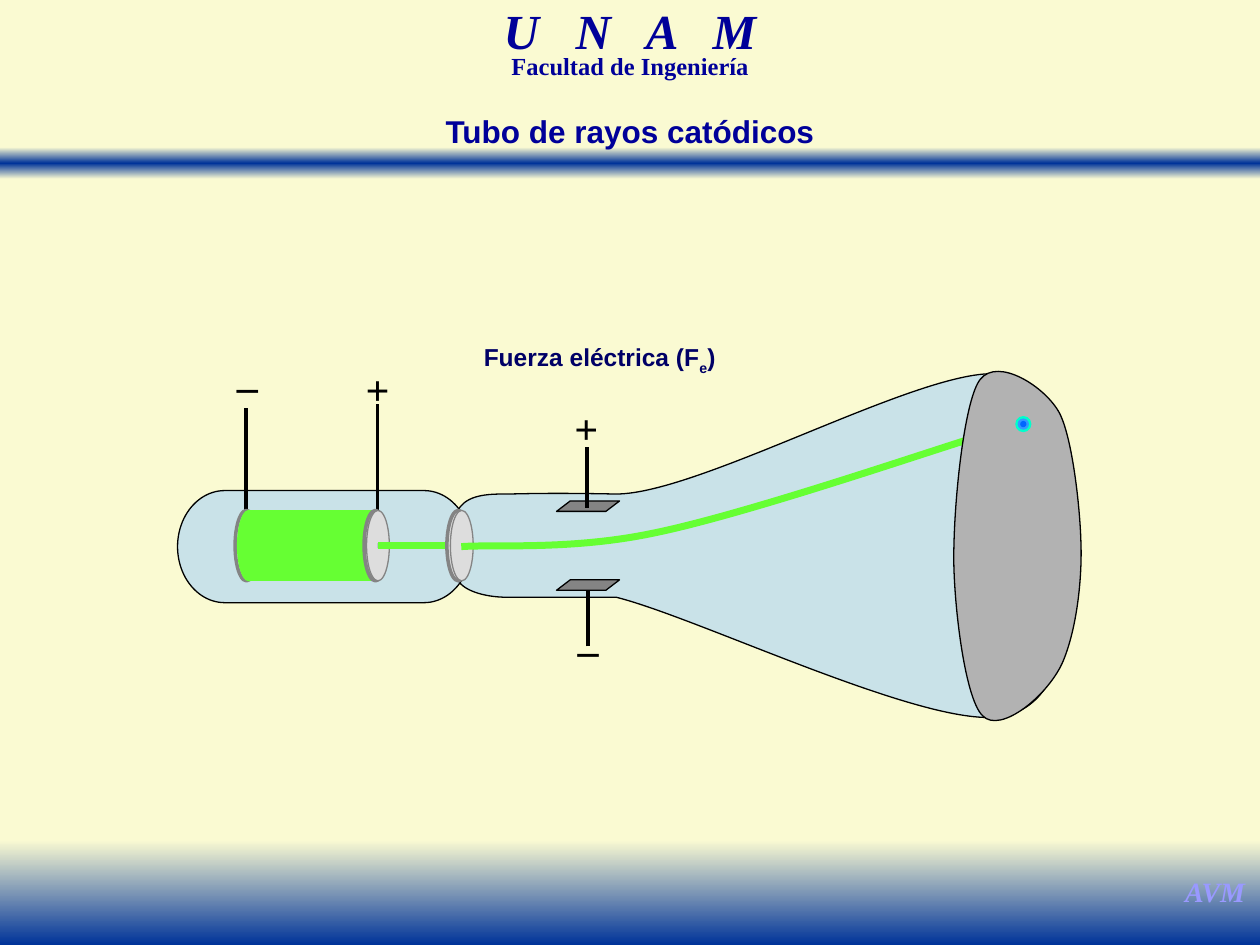
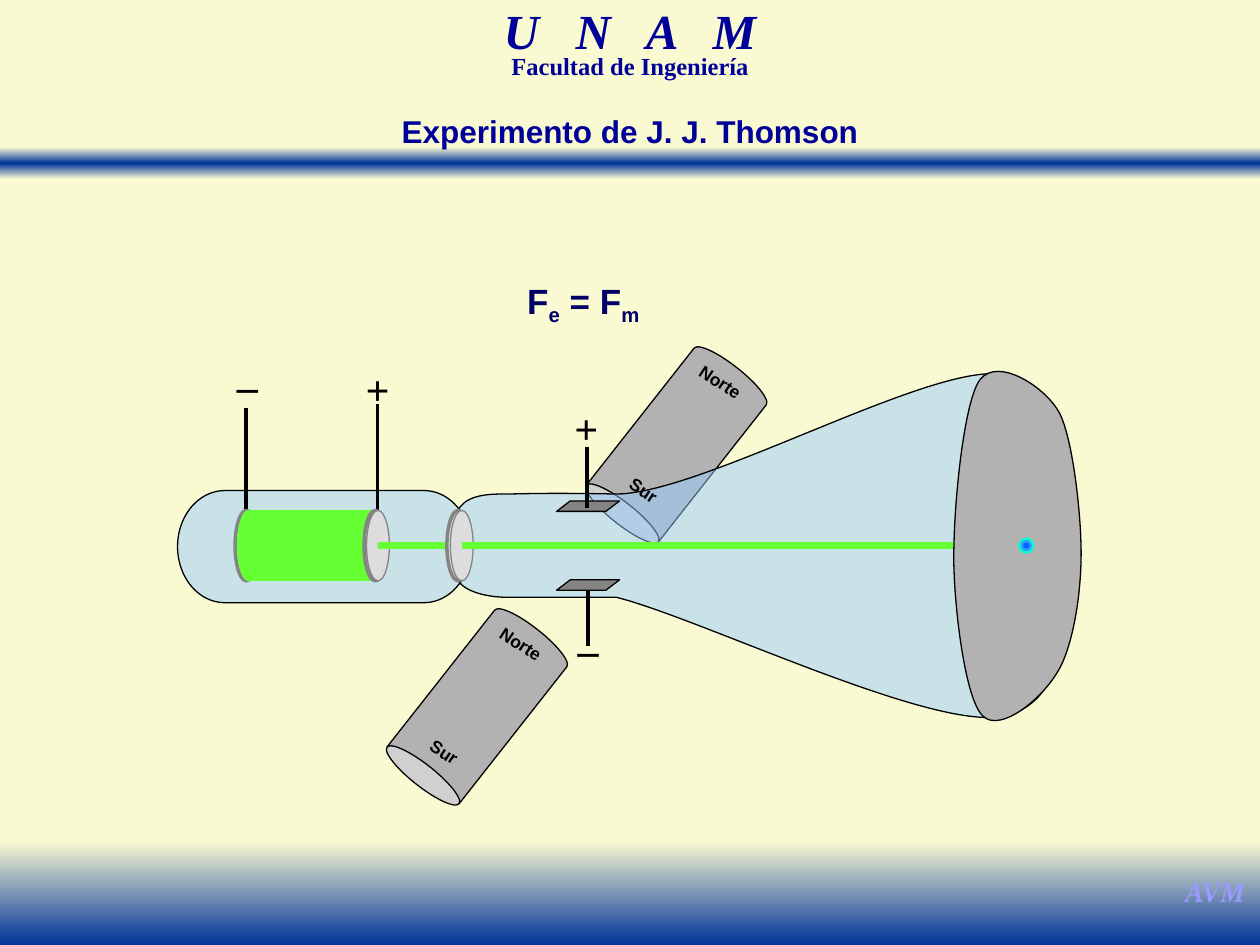
import copy
from dataclasses import dataclass

import pptx
import pptx.dml.color
import pptx.enum.shapes
import pptx.enum.text
import pptx.oxml.ns
import pptx.util
from lxml import etree

Cm, Pt = pptx.util.Cm, pptx.util.Pt
Kind = pptx.enum.shapes.MSO_SHAPE
qn = pptx.oxml.ns.qn


@dataclass(frozen=True)
class Theme:
    paper: str = "FAFAD2"
    band: str = "003399"
    title: str = "000099"
    force: str = "000066"
    mark: str = "9999FF"
    ink: str = "000000"
    glass: str = "99CCFF"
    beam: str = "66FF33"
    disc: str = "DDDDDD"
    metal: str = "848484"
    iron: str = "B2B2B2"
    sans: str = "Arial"
    serif: str = "Times New Roman"
    hair: float = 0.5
    thin: float = 0.75
    wire: float = 2
    ray: float = 4
    school: int = 28
    sign: int = 24
    head: int = 18
    author: int = 16
    small: int = 14
    pole: int = 10


T = Theme()

# Content: lengths in cm; text runs are (text, subscript)
SLIDES = [
    dict(title="Tubo de rayos catódicos",
         force=[("Fuerza eléctrica (F", False), ("e", True), (")", False)],
         box=(9.5, 6.78, 5.18, 0.84), size=14, spot=(20.63, 8.55), magnets=[],
         beam=[(9.3, 11.02),
               (9.96, 10.97), (11.53, 11.1), (13.21, 10.74),
               (14.91, 10.39), (18.14, 9.3), (19.43, 8.89)]),
    dict(title="Experimento de J. J. Thomson",
         force=[("F", False), ("e", True), (" = F", False), ("m", True)],
         box=(10.34, 5.5, 2.84, 1.09), size=20, spot=(20.69, 11),
         magnets=[(12.71, 6.99), (8.69, 12.27)],
         beam=[(9.31, 11), (19.25, 11)]),
]

# Outlines: a start point, then three points for each Bézier curve
CONE = [(9.22, 10.31),
        (9.37, 10.01), (9.73, 9.96), (10.13, 9.96),
        (10.52, 9.96), (10.92, 9.93), (12.42, 9.96),
        (14.12, 9.96), (18.62, 7.39), (20.14, 7.54),
        (21.67, 7.67), (21.56, 9.65), (21.56, 10.8),
        (21.56, 11.96), (21.67, 14.25), (20.14, 14.45),
        (18.62, 14.66), (14.07, 12.45), (12.42, 12.04),
        (10.97, 12.04), (10.46, 12.04), (10.19, 12.04),
        (9.91, 12.04), (9.37, 11.96), (9.22, 11.68)]
SCREEN = [(19.23, 11.05),
          (19.25, 9.88), (19.46, 8.03), (19.76, 7.65),
          (20.12, 7.19), (21.08, 7.8), (21.36, 8.33),
          (21.62, 8.84), (21.77, 10.21), (21.79, 10.9),
          (21.82, 11.61), (21.72, 12.62), (21.44, 13.31),
          (21.16, 14), (20.17, 14.81), (19.81, 14.43),
          (19.43, 14.07), (19.2, 11.96), (19.23, 11.05)]
SIGNS = [("+", 7.12, 7.21), ("_", 4.5, 6.85), ("+", 11.33, 7.98), ("_", 11.37, 12.17)]
RINGS = [(7.34, 7.39, 7.62), (9.01, 9.08, 9.32)]  # back, front, slot
DISC = (10.29, 0.46, 1.42)  # top, width, height
SPOT = [("00FFCC", 0.3), ("3399FF", 0.2), ("0066FF", 0.1)]
MAGNET = (1.85, 3.96)
POLES = [("Norte", 1.1, 0.37, 1.42), ("Sur", -0.28, 2.55, 1.09)]
TURN, TILT = 218.2, 33.2


# Drawing helpers
def rgb(code):
    return pptx.dml.color.RGBColor.from_string(code)


def paint(shape, fill, line, width=T.thin, alpha=None):
    shape.shadow.inherit = False
    if fill:
        shape.fill.solid()
        shape.fill.fore_color.rgb = rgb(fill)
    else:
        shape.fill.background()
    if alpha:
        tint = shape.element.spPr.find(".//" + qn("a:srgbClr"))
        etree.SubElement(tint, qn("a:alpha")).set("val", str(alpha * 1000))
    shape.line.color.rgb = rgb(line)
    shape.line.width = Pt(width)
    return shape


def add(slide, kind, box, fill, line, width=T.thin, alpha=None):
    shape = slide.shapes.add_shape(kind, *map(Cm, box))
    return paint(shape, fill, line, width, alpha)


def wire(slide, start, end, color=T.ink, width=T.wire):
    line = slide.shapes.add_connector(
        pptx.enum.shapes.MSO_CONNECTOR.STRAIGHT, *map(Cm, start + end))
    line.line.color.rgb = rgb(color)
    line.line.width = Pt(width)
    etree.SubElement(line.element.spPr, qn("a:effectLst"))


def curve(slide, knots, fill, line, width=T.thin, alpha=None):
    pen = slide.shapes.build_freeform(*map(Cm, knots[0]))
    pen.add_line_segments([tuple(map(Cm, k)) for k in knots[1:]], close=bool(fill))
    shape = pen.convert_to_shape()
    # Each three line points become one Bézier segment
    legs = shape.element.spPr.findall(".//" + qn("a:lnTo"))
    for i in range(0, len(legs), 3):
        bend = etree.Element(qn("a:cubicBezTo"))
        legs[i].addprevious(bend)
        for leg in legs[i:i + 3]:
            bend.append(leg[0])
            leg.getparent().remove(leg)
    paint(shape, fill, line, width, alpha)


def style(part, size, color, face=T.sans, italic=False):
    part.alignment = pptx.enum.text.PP_ALIGN.CENTER
    font = part.font
    font.name, font.size, font.bold, font.italic = face, Pt(size), True, italic
    font.color.rgb = rgb(color)


def label(slide, box, runs, size, color, face=T.sans, italic=False, wrap=False):
    shape = slide.shapes.add_textbox(*map(Cm, box))
    shape.text_frame.word_wrap = wrap
    part = shape.text_frame.paragraphs[0]
    for text, sub in runs:
        run = part.add_run()
        run.text = text
        if sub:
            run.font._element.set("baseline", "-25000")
    style(part, size, color, face, italic)
    return shape


def blend(slide, box, stops):
    shape = slide.shapes.add_shape(Kind.RECTANGLE, *map(Cm, box))
    shape.shadow.inherit = False
    shape.line.fill.background()
    shape.fill.gradient()
    shape.fill.gradient_angle = 270
    first = shape.element.spPr.find(".//" + qn("a:gs"))
    for _ in stops[2:]:
        first.addnext(copy.deepcopy(first))
    for stop, (place, color) in zip(shape.fill.gradient_stops, stops):
        stop.position = place
        stop.color.rgb = rgb(color)
    return shape


# Shared frame, kept on the layout
def frame(slide, layout):
    school = label(slide, (7.72, 0.2, 9.96, 1.09), [("U N A ", False), ("M", False)],
                   T.school, T.title, T.serif, True, True)
    wide = school.text_frame.paragraphs[0].runs[0]
    wide.font._element.set("spc", "700")
    branch = label(slide, (8.16, 1.07, 9.09, 0.66), [("Facultad de Ingeniería", False)],
                   T.small, T.title, T.serif, wrap=True)
    for shape in (school, branch):
        shape.text_frame.paragraphs[0].line_spacing = 0.7
    parts = [
        blend(slide, (0, 2.97, 25.4, 0.64), [(0, T.paper), (0.5, T.band), (1, T.paper)]),
        school, branch,
        blend(slide, (0, 16.94, 25.4, 2.11), [(0, T.paper), (1, T.band)]),
        label(slide, (23.62, 17.5, 1.75, 0.94), [("AVM", False)],
              T.author, T.mark, T.serif, True),
    ]
    for shape in parts:
        layout.shapes.element.append(shape.element)


def head(slide, text):
    title = slide.shapes.title
    title.left, title.top, title.width, title.height = map(Cm, (7.2, 2.13, 11, 1.02))
    title.text = text
    title.text_frame.auto_size = pptx.enum.text.MSO_AUTO_SIZE.NONE
    title.text_frame.vertical_anchor = pptx.enum.text.MSO_ANCHOR.TOP
    style(title.text_frame.paragraphs[0], T.head, T.title)


# Tube and its parts, from back to front
def tube(slide, beam):
    top, wide, high = DISC
    curve(slide, CONE, T.glass, T.ink, alpha=50)
    add(slide, Kind.FLOWCHART_TERMINATOR, (3.58, 9.89, 5.92, 2.26), T.glass, T.ink, alpha=50)
    wire(slide, (4.96, 10.31), (4.96, 8.23))
    wire(slide, (7.61, 10.31), (7.61, 8.15))
    add(slide, Kind.OVAL, (4.74, top, wide, high), T.disc, T.metal, T.wire)
    add(slide, Kind.OVAL, (4.79, top, wide, high), T.beam, T.beam)
    add(slide, Kind.RECTANGLE, (5.05, top, 2.49, high), T.beam, T.beam)
    for i, (back, front, slot) in enumerate(RINGS):
        if i:
            wire(slide, (9.45, 11), (7.62, 11), T.beam, T.ray)
        add(slide, Kind.OVAL, (back, top, wide, high), T.disc, T.metal, T.wire)
        add(slide, Kind.OVAL, (front, top, wide, high), T.disc, T.metal)
        add(slide, Kind.RECTANGLE, (slot, 10.95, 0.05, 0.1), T.force, T.ink, T.hair)
    for y in (10.1, 11.69):
        plate = add(slide, Kind.PARALLELOGRAM, (11.22, y, 1.27, 0.21), T.metal, T.ink)
        plate.adjustments[0] = 1.31
    wire(slide, (11.83, 10.24), (11.83, 9.02))
    wire(slide, (11.85, 13.03), (11.85, 11.9))
    if len(beam) == 2:
        wire(slide, *beam, T.beam, T.ray)
    else:
        curve(slide, beam, None, T.beam, T.ray)
    curve(slide, SCREEN, T.iron, T.ink)
    for sign, x, y in SIGNS:
        label(slide, (x, y, 0.97, 1.27), [(sign, False)], T.sign, T.ink, T.serif)


def magnet(slide, place):
    can = add(slide, Kind.CAN, place + MAGNET, T.iron, T.ink)
    can.adjustments[0] = 0.24
    can.rotation = TURN


def poles(slide, place):
    for name, dx, dy, wide in POLES:
        box = (place[0] + dx, place[1] + dy, wide, 0.69)
        label(slide, box, [(name, False)], T.pole, T.ink).rotation = TILT


def main():
    deck = pptx.Presentation()
    deck.slide_width, deck.slide_height = Cm(25.4), Cm(19.05)
    layout = deck.slide_layouts[5]
    paper = deck.slide_master.background.fill
    paper.solid()
    paper.fore_color.rgb = rgb(T.paper)
    for i, item in enumerate(SLIDES):
        slide = deck.slides.add_slide(layout)
        if i == 0:
            frame(slide, layout)
        head(slide, item["title"])
        for place in item["magnets"]:
            magnet(slide, place)
        tube(slide, item["beam"])
        for place in item["magnets"]:
            poles(slide, place)
        x, y = item["spot"]
        for color, size in SPOT:
            add(slide, Kind.OVAL, (x - size / 2, y - size / 2, size, size), color, color)
        label(slide, item["box"], item["force"], item["size"], T.force)
    deck.save("out.pptx")


if __name__ == "__main__":
    main()
